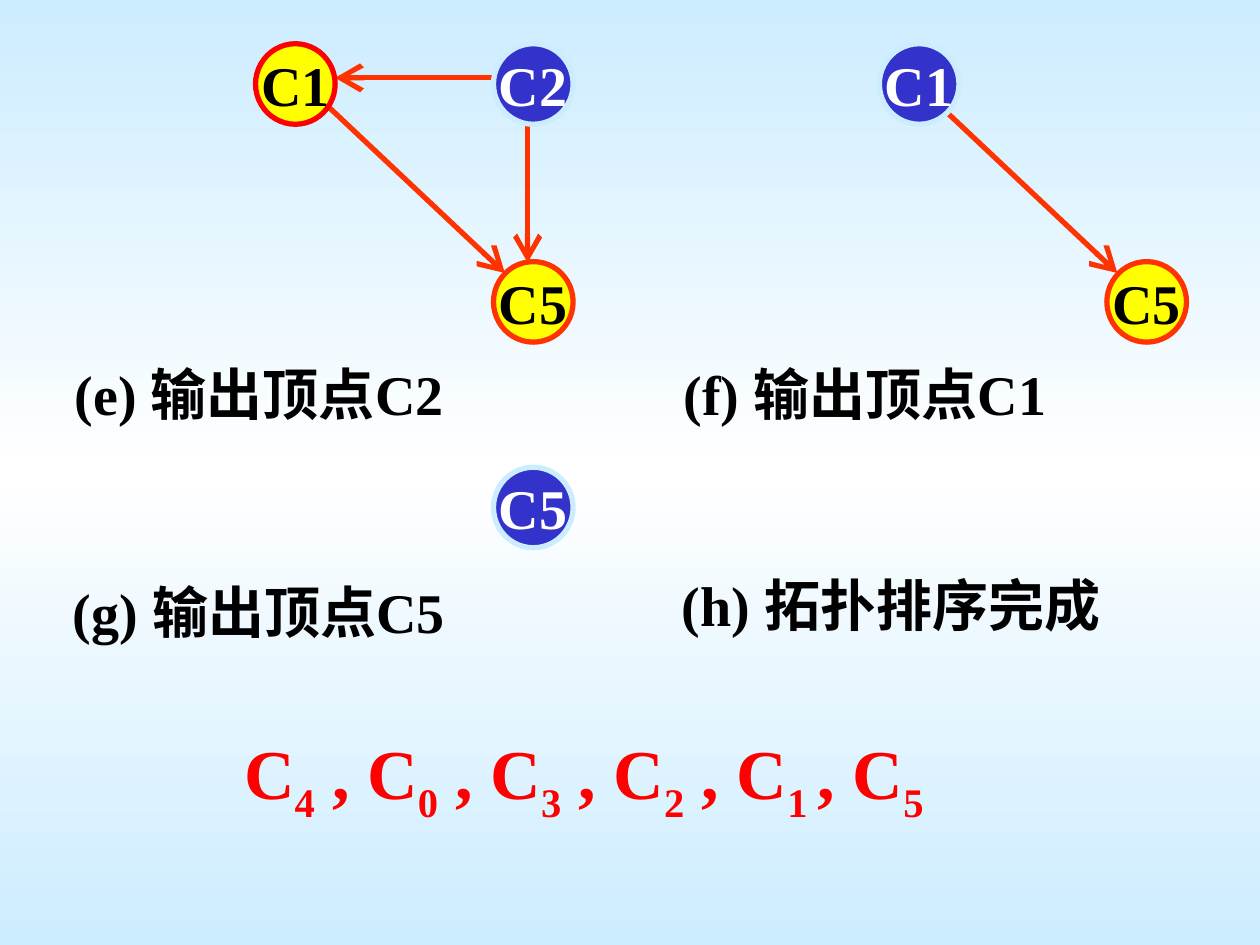
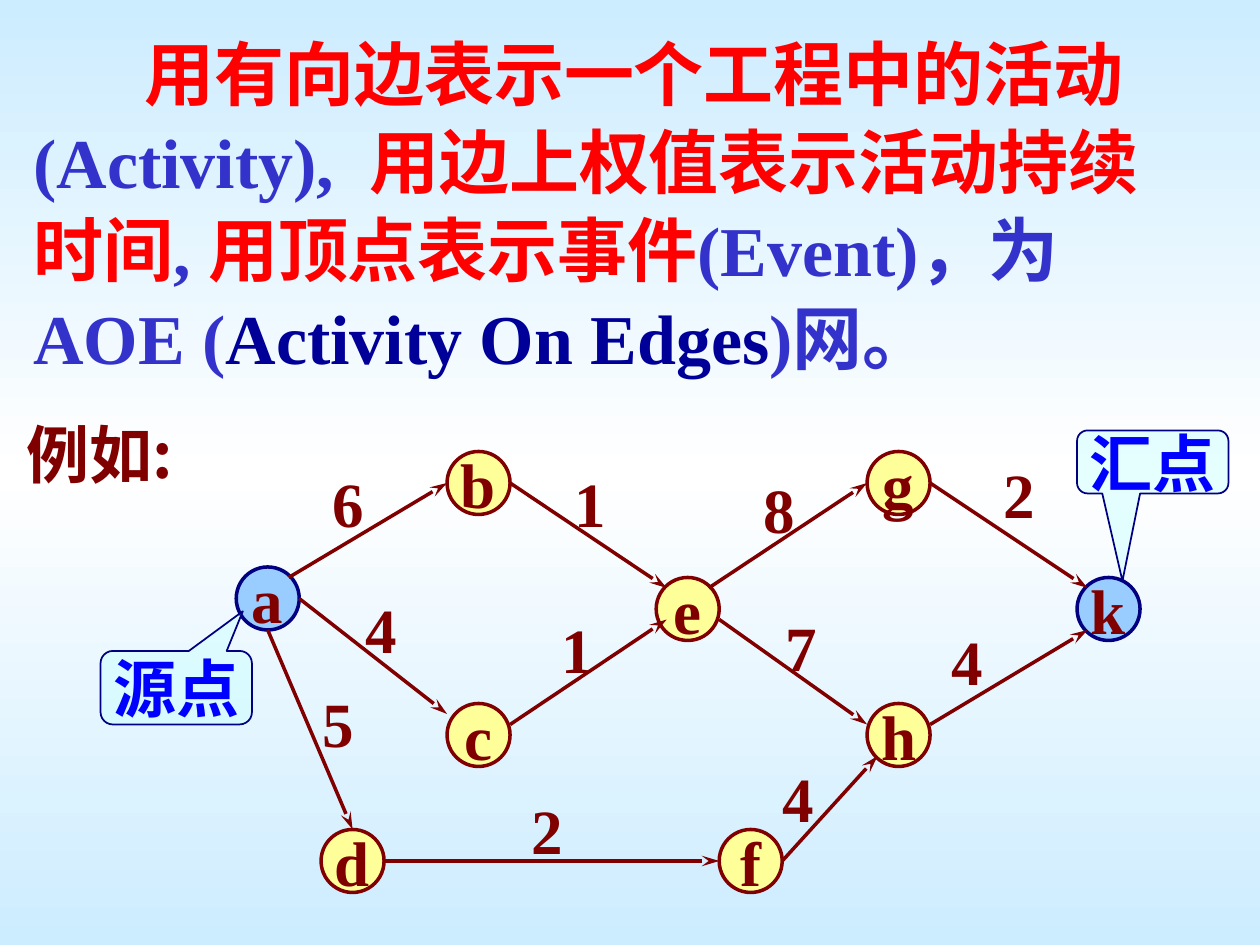
"""Build two slides on topological sorting and AOE networks."""
import copy

import pptx
import pptx.dml.color
import pptx.enum.shapes
import pptx.enum.text
import pptx.oxml.ns
import pptx.util
from lxml import etree

Pt = pptx.util.Pt
qn = pptx.oxml.ns.qn
SHAPE = pptx.enum.shapes.MSO_SHAPE
ALIGN = pptx.enum.text.PP_ALIGN
ANCHOR = pptx.enum.text.MSO_ANCHOR
AUTO = pptx.enum.text.MSO_AUTO_SIZE

LATIN, HAN = "Times New Roman", "Noto Sans CJK SC"
BLACK, WHITE, RED, ORANGE = "000000", "FFFFFF", "FF0000", "FF3300"
YELLOW, BLUE, SKY = "FFFF00", "3333CC", "CCECFF"
MAROON, NAVY, DEEP, BRIGHT = "800000", "000080", "000099", "0000FF"
CREAM, LIGHT, AQUA = "FFFF99", "99CCFF", "CCFFFF"


def rgb(value):
    """Turn a hex string into a colour."""
    return pptx.dml.color.RGBColor.from_string(value)


class Deck:
    """Hold the presentation style and the current slide."""

    def __init__(self):
        """Set the slide size and the shared background."""
        self.prs = pptx.Presentation()
        self.prs.slide_width, self.prs.slide_height = Pt(720), Pt(540)
        master = self.prs.slide_master
        fill = master.background.fill
        fill.gradient()
        fill.gradient_angle = 270
        stops = master.element.find(".//" + qn("a:gsLst"))
        stops.append(copy.deepcopy(stops[-1]))
        for stop, pos, color in zip(fill.gradient_stops, (0, 0.5, 1), (SKY, WHITE, SKY)):
            stop.position, stop.color.rgb = pos, rgb(color)

    def slide(self):
        """Start a blank slide."""
        self.s = self.prs.slides.add_slide(self.prs.slide_layouts[6])

    def run(self, p, text, size, color, font=LATIN, base=0, spread=0):
        """Add one bold run, lowered by a negative base and spread in points."""
        r = p.add_run()
        r.text = text
        r.font.size, r.font.bold, r.font.name = Pt(size), True, font
        r.font.color.rgb = rgb(color)
        rpr = r.font._element
        etree.SubElement(rpr, qn("a:ea")).set("typeface", HAN)
        if base:
            rpr.set("baseline", str(base * 1000))
        if spread:
            rpr.set("spc", str(spread * 100))

    def text(self, x, y, w, h, runs, align=ALIGN.LEFT, wrap=False):
        """Add a text box with one paragraph of runs and return its frame."""
        tf = self.s.shapes.add_textbox(Pt(x), Pt(y), Pt(w), Pt(h)).text_frame
        tf.word_wrap, tf.auto_size = wrap, AUTO.SHAPE_TO_FIT_TEXT
        p = tf.paragraphs[0]
        p.alignment = align
        for r in runs:
            self.run(p, *r)
        return tf

    def shape(self, kind, box, label, size, ink, fill, line, width):
        """Add a filled shape with a centred label."""
        sp = self.s.shapes.add_shape(kind, *map(Pt, box))
        sp.shadow.inherit = False
        sp.fill.solid()
        sp.fill.fore_color.rgb = rgb(fill)
        sp.line.color.rgb, sp.line.width = rgb(line), Pt(width)
        tf = sp.text_frame
        tf.word_wrap, tf.vertical_anchor = False, ANCHOR.MIDDLE
        p = tf.paragraphs[0]
        p.alignment = ALIGN.CENTER
        self.run(p, label, size, ink)
        return sp

    def callout(self, box, label, tip):
        """Add a half transparent callout whose tip is relative to its size."""
        sp = self.shape(SHAPE.ROUNDED_RECTANGULAR_CALLOUT, box, label, 36, BRIGHT, AQUA, NAVY, 1)
        sp.adjustments[0], sp.adjustments[1] = tip
        color = sp._element.spPr.find(qn("a:solidFill"))[0]
        etree.SubElement(color, qn("a:alpha")).set("val", "50000")

    def arrow(self, start, end, color, width, head, spread):
        """Add a straight arrow with a long head from start to end."""
        c = self.s.shapes.add_connector(
            pptx.enum.shapes.MSO_CONNECTOR.STRAIGHT, *map(Pt, (*start, *end)))
        c.line.color.rgb, c.line.width = rgb(color), Pt(width)
        ln = c._element.spPr.find(qn("a:ln"))
        etree.SubElement(ln, qn("a:tailEnd"), type=head, w=spread, len="lg")
        etree.SubElement(c._element.spPr, qn("a:effectLst"))


def sorting_slide(deck):
    """Draw the last steps of the topological sort."""
    deck.slide()
    runs = []
    for i, digit in enumerate(("4", "0", "3", "2", "1 ", "5 ")):
        lead = "C" if i == 0 else ", C" if i == 5 else " , C"
        runs += [(lead, 40, RED), (digit, 40, RED, LATIN, -25)]
    deck.text(54.5, 413.5, 564, 62, runs, ALIGN.CENTER, True)

    for start, end in (((282, 44.5), (191.5, 44.5)), ((301.5, 71.5), (301.5, 150)),
                       ((185, 58.5), (288.5, 156)), ((535, 58.5), (638.5, 156))):
        deck.arrow(start, end, ORANGE, 3, "arrow", "lg")

    waiting, output = (BLACK, YELLOW, ORANGE), (WHITE, BLUE, SKY)
    for x, y, label, look in ((146, 25, "C1", (BLACK, YELLOW, RED)), (282, 25, "C2", output),
                              (282, 149.5, "C5", waiting), (632.5, 149.5, "C5", waiting),
                              (502.5, 25, "C1", output), (282, 267, "C5", output)):
        deck.shape(SHAPE.OVAL, (x, y, 45.5, 46), label, 32, *look, 3)

    for x, y, caption in ((35.5, 202, "(e) 输出顶点C2"), (383.5, 202, "(f) 输出顶点C1"),
                          (34.5, 326.5, "(g) 输出顶点C5"), (382.5, 322.5, "(h) 拓扑排序完成")):
        deck.text(x, y, 290, 46, [(caption, 32, BLACK)], wrap=True)


def network_slide(deck):
    """Define the AOE network and draw an example."""
    deck.slide()
    tf = deck.text(12, 11.5, 684, 209, [
        ("用有向边表示一个工程中的活动 ", 40, RED, HAN), ("(Activity),", 40, BLUE),
        (" ", 40, BLUE, LATIN, 0, 10), ("用边上权值表示活动持续", 40, RED, HAN)], wrap=True)
    first, second = tf.paragraphs[0], tf.add_paragraph()
    ppr = first._p.get_or_add_pPr()
    ppr.set("marL", "0")
    ppr.set("indent", str(Pt(63.5)))
    for r in (("时间", 40, RED, HAN), (", ", 40, BLUE), ("用顶点表示事件", 40, RED, HAN),
              ("(Event)，为AOE (", 40, BLUE), ("Activity On Edges", 40, DEEP), (")网。", 40, BLUE)):
        deck.run(second, *r)
    for p in tf.paragraphs:
        p.line_spacing = 1.05

    events = {"a": (153, 342), "b": (273.5, 276), "c": (273.5, 420), "d": (201.5, 492),
              "e": (393, 348), "f": (429, 492), "g": (513.5, 276), "h": (513.5, 420),
              "k": (633.5, 348)}
    for name, (x, y) in events.items():
        fill, line = (LIGHT, NAVY) if name in "ak" else (CREAM, MAROON)
        deck.shape(SHAPE.OVAL, (x - 18, y - 18, 36, 36), name, 36, MAROON, fill, line, 2)

    east, west, north, south = (18, 0), (-18, 0), (0, -18), (0, 18)
    ne, nw, sw = (12, -12), (-12, -12), (-12, 12)
    activities = (
        ("a", ne, "b", west, "6", 183, 262), ("a", east, "c", (-18, -12), "4", 201.5, 334),
        ("a", south, "d", north, "5", 177, 387.5), ("d", east, "f", west, "2", 296.5, 448.5),
        ("b", east, "e", nw, "1", 321, 262), ("c", (18, -6), "e", (-12, 6), "1", 314, 345.5),
        ("e", ne, "g", west, "8", 429, 265.5), ("e", (18, 6), "h", (-18, -6), "7", 441.5, 344),
        ("g", east, "k", nw, "2", 566.5, 256.5), ("h", (18, -6), "k", sw, "4", 536.5, 352),
        ("f", east, "h", sw, "4", 440, 430.5))
    for tail, leave, head, enter, weight, x, y in activities:
        start = [a + b for a, b in zip(events[tail], leave)]
        end = [a + b for a, b in zip(events[head], enter)]
        deck.arrow(start, end, MAROON, 2, "stealth", "med")
        deck.text(x, y, 32.5, 50.5, [(weight, 36, MAROON)])

    deck.text(8, 234, 113, 50.5, [("例如:", 36, MAROON, HAN)])
    deck.callout((57.5, 372, 86.5, 42), "源点", (0.44, -1.04))
    deck.callout((615.5, 246, 86.5, 36), "汇点", (-0.2, 1.89))


def main():
    """Build and save the slides."""
    deck = Deck()
    sorting_slide(deck)
    network_slide(deck)
    deck.prs.save("out.pptx")


if __name__ == "__main__":
    main()
